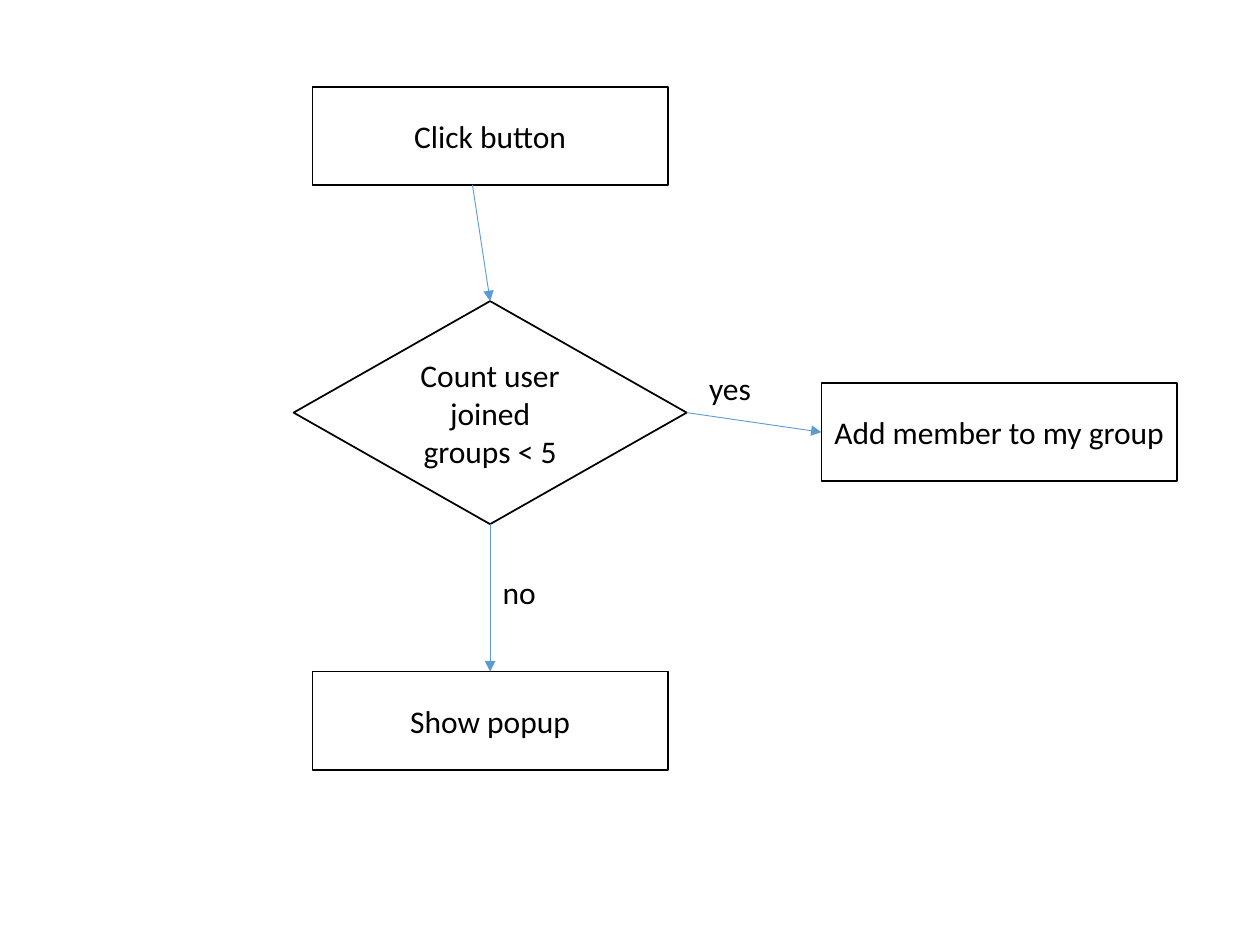
import pptx
import pptx.util
import pptx.dml.color
import pptx.enum.shapes
import pptx.enum.text
import pptx.oxml.ns
from lxml import etree

Inches, Pt = pptx.util.Inches, pptx.util.Pt
SHAPE = pptx.enum.shapes.MSO_SHAPE
ALIGN = pptx.enum.text.PP_ALIGN
qn = pptx.oxml.ns.qn
SLIDE_W, SLIDE_H = 10, 7.5
BOX_W, BOX_H = 2.82, 0.78
INK, PAPER, ARROW = "000000", "FFFFFF", "5B9BD5"


def color(value):
    return pptx.dml.color.RGBColor.from_string(value)


def write(sp, text, align):
    tf = sp.text_frame
    tf.word_wrap = True
    p = tf.paragraphs[0]
    p.text = text
    p.alignment = align
    p.font.name, p.font.size = "Calibri", Pt(18)
    p.font.color.rgb = color(INK)
    return tf


def add_node(s, kind, text, x, y, w=BOX_W, h=BOX_H):
    sp = s.shapes.add_shape(kind, Inches(x), Inches(y), Inches(w), Inches(h))
    sp.shadow.inherit = False
    sp.fill.solid()
    sp.fill.fore_color.rgb = color(PAPER)
    sp.line.color.rgb = color(INK)
    sp.line.width = Pt(1)
    tf = write(sp, text, ALIGN.CENTER)
    tf.vertical_anchor = pptx.enum.text.MSO_ANCHOR.MIDDLE
    return sp


def add_arrow(s, start, end):
    line = s.shapes.add_connector(pptx.enum.shapes.MSO_CONNECTOR.STRAIGHT, *start, *end)
    line.line.color.rgb = color(ARROW)
    line.line.width = Pt(0.5)
    etree.SubElement(line.line._get_or_add_ln(), qn("a:tailEnd"), type="triangle")
    etree.SubElement(line._element.spPr, qn("a:effectLst"))


def add_label(s, text, x, y):
    sp = s.shapes.add_textbox(Inches(x), Inches(y), Inches(0.73), Inches(0.4))
    tf = write(sp, text, ALIGN.LEFT)
    tf.auto_size = pptx.enum.text.MSO_AUTO_SIZE.SHAPE_TO_FIT_TEXT


def top(sp):
    return sp.left + sp.width // 2, sp.top


def bottom(sp):
    return sp.left + sp.width // 2, sp.top + sp.height


def left(sp):
    return sp.left, sp.top + sp.height // 2


def right(sp):
    return sp.left + sp.width, sp.top + sp.height // 2


def add_flowchart(s, x, y, w, h):
    """Place the flow in the given box: main column at left, yes branch at right."""
    # Steps
    diamond_w = 3.12
    box_x = x + (diamond_w - BOX_W) / 2
    click = add_node(s, SHAPE.RECTANGLE, "Click button", box_x, y)
    check = add_node(s, SHAPE.DIAMOND, "Count user joined groups < 5",
                     x, y + 1.7, diamond_w, 1.77)
    popup = add_node(s, SHAPE.RECTANGLE, "Show popup", box_x, y + h - BOX_H)
    member = add_node(s, SHAPE.RECTANGLE, "Add member to my group",
                      x + w - BOX_W, y + 2.35)

    # Arrows
    click_x, click_y = bottom(click)
    add_arrow(s, (click_x - Inches(0.14), click_y), top(check))
    add_arrow(s, right(check), left(member))
    add_arrow(s, bottom(check), top(popup))

    # Branch labels
    add_label(s, "yes", x + 3.2, y + 2.19)
    add_label(s, "no", x + diamond_w / 2, y + 3.81)


prs = pptx.Presentation()
prs.slide_width, prs.slide_height = Inches(SLIDE_W), Inches(SLIDE_H)
s = prs.slides.add_slide(prs.slide_layouts[6])
add_flowchart(s, 2.33, 0.69, 7.01, 5.42)
prs.save("out.pptx")
